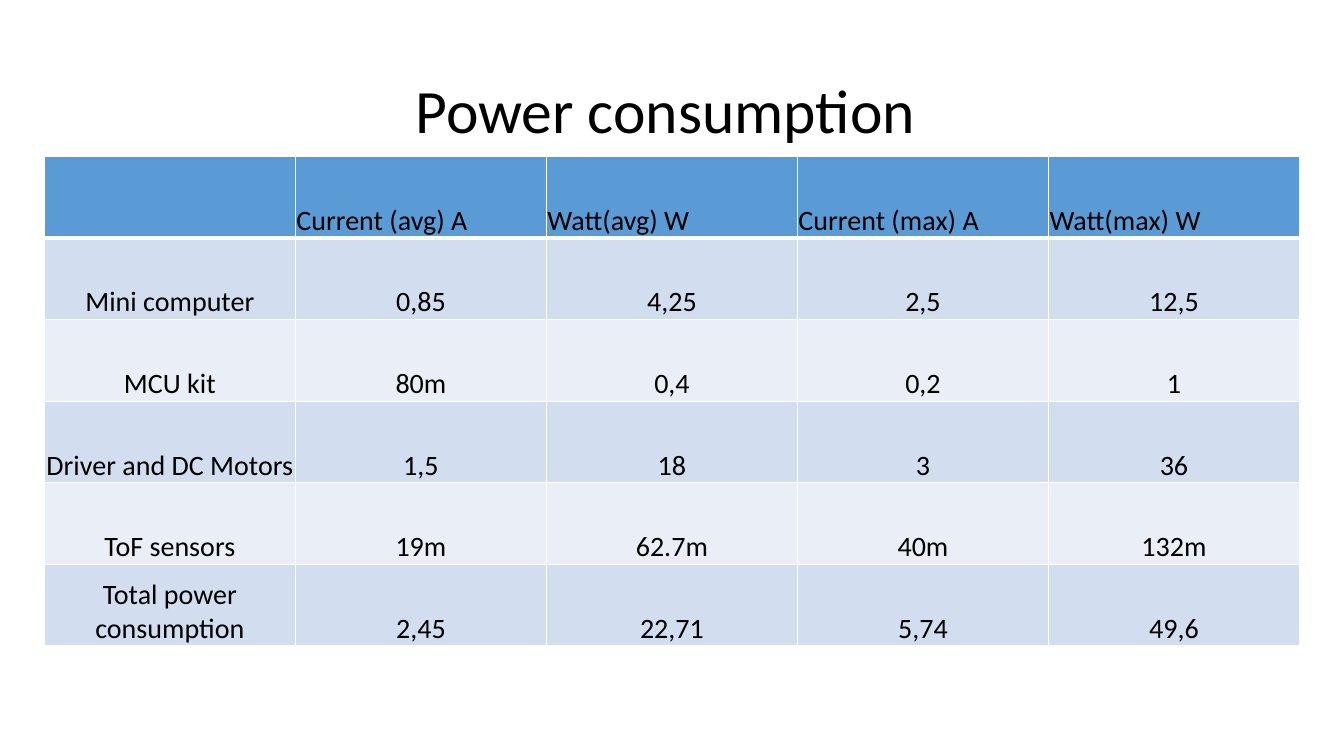
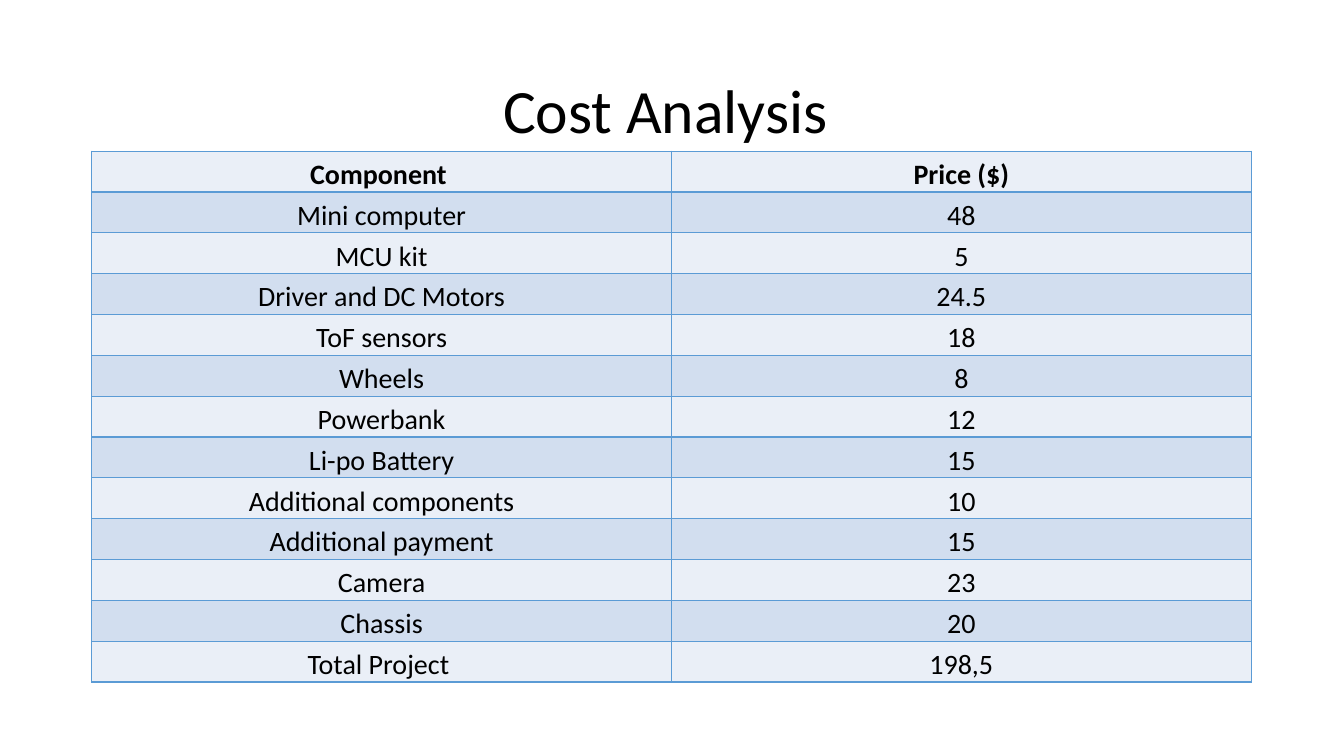
from lxml import etree
from pptx import Presentation
from pptx.dml.color import RGBColor
from pptx.enum.text import MSO_ANCHOR as ANCHOR, PP_ALIGN as ALIGN
from pptx.oxml.ns import qn
from pptx.util import Inches, Pt

FONT = "Calibri"
BLACK = RGBColor(0x00, 0x00, 0x00)
WHITE = RGBColor(0xFF, 0xFF, 0xFF)
BLUE = RGBColor(0x5B, 0x9B, 0xD5)
BAND = RGBColor(0xD2, 0xDE, 0xEF)
PALE = RGBColor(0xEA, 0xEF, 0xF7)

POWER = [
    ("", "Current (avg) A", "Watt(avg) W", "Current (max) A", "Watt(max) W"),
    ("Mini computer", "0,85", "4,25", "2,5", "12,5"),
    ("MCU kit", "80m", "0,4", "0,2", "1"),
    ("Driver and DC Motors", "1,5", "18", "3", "36"),
    ("ToF sensors", "19m", "62.7m", "40m", "132m"),
    ("Total power consumption", "2,45", "22,71", "5,74", "49,6"),
]
COST = [
    ("Component ", "Price ($)"),
    ("Mini computer", "48"),
    ("MCU kit", "5"),
    ("Driver and DC Motors", "24.5"),
    ("ToF sensors", "18"),
    ("Wheels", "8"),
    ("Powerbank", "12"),
    ("Li-po Battery", "15"),
    ("Additional components", "10"),
    ("Additional payment", "15"),
    ("Camera", "23"),
    ("Chassis", "20"),
    ("Total Project ", "198,5"),
]
SLIDES = [
    dict(title="Power consumption ", rows=POWER, box=(0.44, 1.55, 12.45, 4.86),
         line=WHITE, rule=3, head_fill=BLUE, head_align=ALIGN.LEFT, head_bold=False),
    dict(title="Cost Analysis ", rows=COST, box=(0.91, 1.5, 11.5, 5.27),
         line=BLUE, rule=1, head_fill=PALE, head_align=ALIGN.CENTER, head_bold=True),
]


def style_font(font, size, bold=False):
    font.name, font.size, font.bold = FONT, Pt(size), bold
    font.color.rgb = BLACK


def add_title(slide, text):
    title = slide.shapes.title
    title.left, title.top, title.width, title.height = map(Inches, (0.92, 0.4, 11.5, 1.45))
    tf = title.text_frame
    tf.text = text
    tf.vertical_anchor = ANCHOR.MIDDLE
    p = tf.paragraphs[0]
    p.alignment, p.line_spacing = ALIGN.CENTER, 0.9
    style_font(p.runs[0].font, 44)


def set_borders(cell, color, widths):
    tcPr = cell._tc.get_or_add_tcPr()
    for i, (side, width) in enumerate(zip("LRTB", widths)):
        ln = etree.Element(qn(f"a:ln{side}"), w=str(Pt(width)))
        fill = etree.SubElement(ln, qn("a:solidFill"))
        etree.SubElement(fill, qn("a:srgbClr"), val=str(color))
        tcPr.insert(i, ln)


def fill_cell(cell, text, row, look):
    head = row == 0
    cell.text = text
    cell.vertical_anchor = ANCHOR.BOTTOM
    cell.margin_left = cell.margin_right = cell.margin_top = Inches(0.01)
    cell.margin_bottom = 0
    cell.fill.solid()
    cell.fill.fore_color.rgb = look["head_fill"] if head else BAND if row % 2 else PALE
    p = cell.text_frame.paragraphs[0]
    p.alignment = look["head_align"] if head else ALIGN.CENTER
    style_font(p.font, 20, head and look["head_bold"])
    for r in p.runs:
        style_font(r.font, 20, head and look["head_bold"])
    top = look["rule"] if row == 1 else 1
    bottom = look["rule"] if head else 1
    set_borders(cell, look["line"], (1, 1, top, bottom))


def add_grid(slide, look):
    rows = look["rows"]
    n_rows, n_cols = len(rows), len(rows[0])
    left, top, width, height = map(Inches, look["box"])
    table = slide.shapes.add_table(n_rows, n_cols, left, top, width, height).table
    table.first_row = table.horz_banding = False
    for column in table.columns:
        column.width = width // n_cols
    for i, row in enumerate(rows):
        table.rows[i].height = height // n_rows
        for j, text in enumerate(row):
            fill_cell(table.cell(i, j), text, i, look)


def main():
    prs = Presentation()
    prs.slide_width, prs.slide_height = Inches(13.33), Inches(7.5)
    for look in SLIDES:
        slide = prs.slides.add_slide(prs.slide_layouts[5])
        add_title(slide, look["title"])
        add_grid(slide, look)
    prs.save("out.pptx")


if __name__ == "__main__":
    main()
